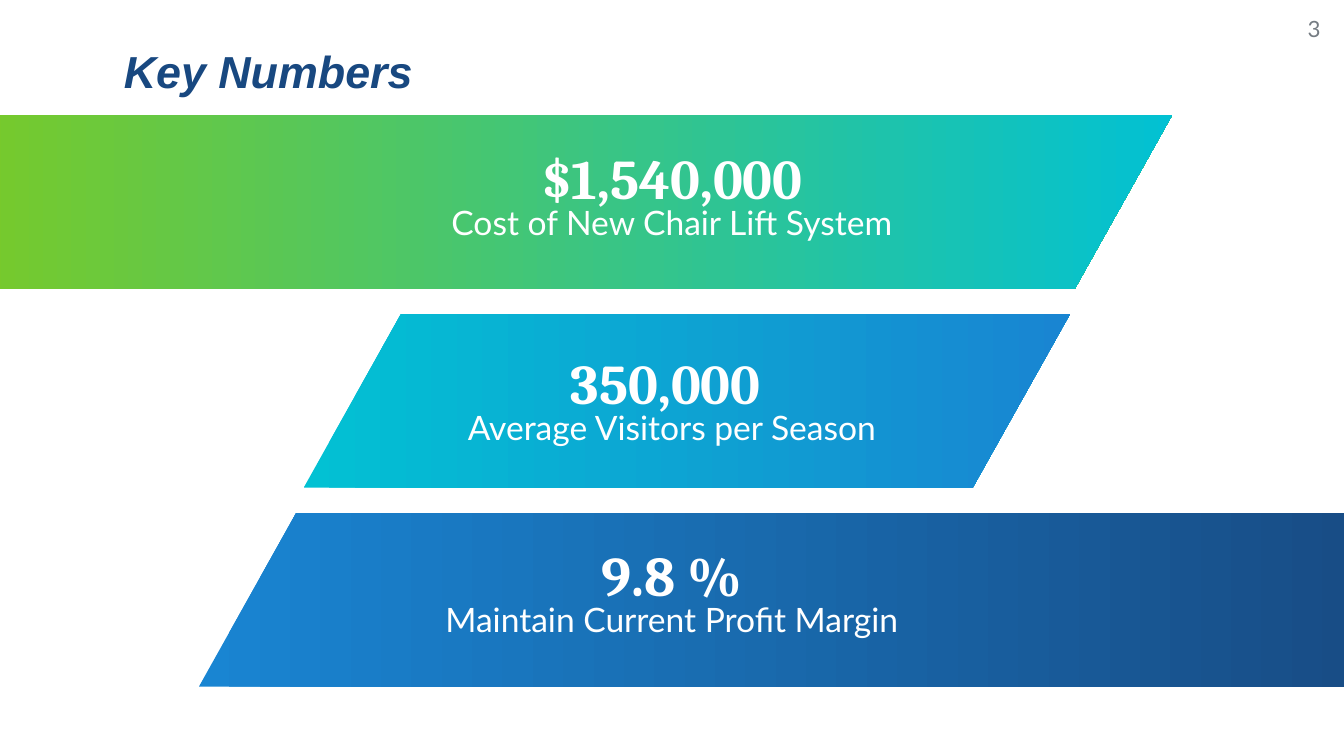
from pptx import Presentation
from pptx.dml.color import RGBColor
from pptx.enum.shapes import MSO_SHAPE
from pptx.enum.text import MSO_ANCHOR, PP_ALIGN
from pptx.util import Cm, Pt

HUES = {
    "green": "7FCA20", "teal": "02C1D3", "blue": "1985D2",
    "navy": "184880", "white": "FFFFFF", "gray": "757C83",
}

# Text styles: font, paragraph and frame values
STYLES = {
    "head": {
        "hue": "navy",
        "font": {"name": "Arial", "size": Pt(24), "bold": True, "italic": True},
        "para": {"alignment": PP_ALIGN.LEFT},
        "frame": {"vertical_anchor": MSO_ANCHOR.MIDDLE},
    },
    "page": {
        "hue": "gray",
        "font": {"name": "Lato", "size": Pt(12)},
        "para": {"alignment": PP_ALIGN.RIGHT},
        "frame": {"vertical_anchor": MSO_ANCHOR.MIDDLE},
    },
    "figure": {
        "hue": "white",
        "font": {"name": "Cambria", "size": Pt(30), "bold": True},
        "para": {"alignment": PP_ALIGN.CENTER, "line_spacing": 0.9},
        "frame": {"vertical_anchor": MSO_ANCHOR.MIDDLE},
    },
    "label": {
        "hue": "white",
        "font": {"name": "Lato", "size": Pt(18)},
        "para": {"alignment": PP_ALIGN.CENTER, "line_spacing": 1.15,
                 "space_before": Pt(6)},
        "frame": {"vertical_anchor": MSO_ANCHOR.TOP},
    },
}

deck = Presentation()
deck.slide_width, deck.slide_height = Cm(25.4), Cm(14.29)
slide = deck.slides.add_slide(deck.slide_layouts[6])


def add_text(text, kind, left, top, width, height):
    style = STYLES[kind]
    frame = slide.shapes.add_textbox(
        Cm(left), Cm(top), Cm(width), Cm(height)).text_frame
    frame.word_wrap = True
    for side in ("left", "top", "right", "bottom"):
        setattr(frame, f"margin_{side}", 0)
    para = frame.paragraphs[0]
    run = para.add_run()
    run.text = text
    for part, key in ((frame, "frame"), (para, "para"), (run.font, "font")):
        for name, value in style[key].items():
            setattr(part, name, value)
    run.font.color.rgb = RGBColor.from_string(HUES[style["hue"]])


# Slanted bands: left, width, colours from left to right
BANDS = [
    (-1.85, 24, ("green", "teal")),
    (5.74, 14.48, ("teal", "blue")),
    (3.76, 23.52, ("blue", "navy")),
]
for row, (left, width, hues) in enumerate(BANDS):
    band = slide.shapes.add_shape(
        MSO_SHAPE.PARALLELOGRAM,
        Cm(left), Cm(2.18 + 3.76 * row), Cm(width), Cm(3.28))
    band.adjustments[0] = 0.56
    band.shadow.inherit = False
    band.line.fill.background()
    band.fill.gradient()
    band.fill.gradient_angle = 0
    for stop, hue in zip(band.fill.gradient_stops, hues):
        stop.color.rgb = RGBColor.from_string(HUES[hue])

# Key figures: figure, its top and height, label, its top
FACTS = [
    ("$1,540,000", 2.82, 1.22, "Cost of New Chair Lift System", 3.71),
    ("350,000 ", 6.58, 1.45, "Average Visitors per Season", 7.57),
    ("9.8 %", 10.44, 0.99, "Maintain Current Profit Margin", 11.2),
]
for figure, top, height, label, base in FACTS:
    add_text(figure, "figure", 8.09, top, 9.22, height)
    add_text(label, "label", 8.09, base, 9.22, 1.45)

# Heading and page number
add_text("Key Numbers", "head", 2.34, 0.2, 10.85, 2.26)
add_text("3", "page", 23.77, 0, 1.19, 1.09)

deck.save("out.pptx")
